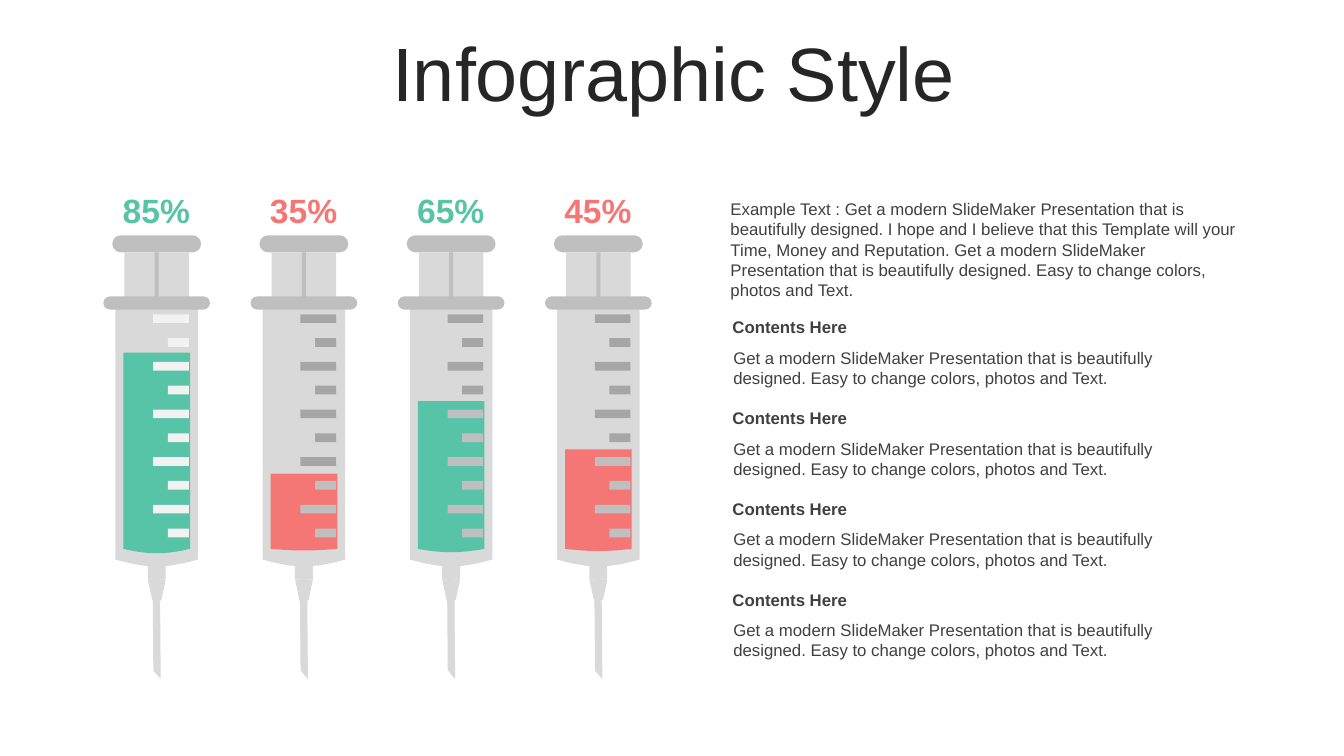
from dataclasses import dataclass

from pptx import Presentation
from pptx.dml.color import RGBColor
from pptx.enum.shapes import MSO_SHAPE
from pptx.enum.text import MSO_ANCHOR, PP_ALIGN
from pptx.oxml.ns import qn
from pptx.util import Cm, Pt

RECT, ROUND = MSO_SHAPE.RECTANGLE, MSO_SHAPE.ROUNDED_RECTANGLE
TRAPEZOID, STRIPE = MSO_SHAPE.TRAPEZOID, MSO_SHAPE.DIAGONAL_STRIPE
LEFT, CENTER = PP_ALIGN.LEFT, PP_ALIGN.CENTER
TOP, MIDDLE = MSO_ANCHOR.TOP, MSO_ANCHOR.MIDDLE


@dataclass(frozen=True)
class Theme:
    font: str = "Arial"
    title: str = "262626"
    text: str = "404040"
    green: str = "57C3A7"
    red: str = "F47775"
    glass: str = "D9D9D9"
    metal: str = "BFBFBF"
    tick: str = "A6A6A6"
    light_tick: str = "F2F2F2"
    title_size: int = 54
    percent_size: int = 24
    text_size: int = 12


THEME = Theme()


@dataclass(frozen=True)
class Syringe:
    percent: int
    color: str
    tick: str = THEME.tick
    wet_tick: str = THEME.metal


@dataclass(frozen=True)
class Part:
    """A preset shape; dx is the offset of its centre from the syringe axis, in cm."""
    kind: MSO_SHAPE
    top: float
    width: float
    height: float
    color: str
    dx: float = 0
    rotation: float = 0
    adjustment: float | None = None


SYRINGES = [
    Syringe(85, THEME.green, THEME.light_tick, THEME.light_tick),
    Syringe(35, THEME.red),
    Syringe(65, THEME.green),
    Syringe(45, THEME.red),
]
NEEDLE = Part(STRIPE, 14.75, 1.7, 2.06, THEME.glass, 0.09, 320, 0.86)
FITTINGS = [
    Part(ROUND, 5.93, 2.24, 0.43, THEME.metal, adjustment=0.5),
    Part(RECT, 6.36, 1.63, 1.17, THEME.glass),
    Part(RECT, 14.17, 0.45, 0.43, THEME.glass),
    Part(TRAPEZOID, 14.6, 0.45, 0.53, THEME.glass, rotation=180),
    Part(ROUND, 7.47, 2.69, 0.33, THEME.metal, adjustment=0.5),
]
RIB = Part(RECT, 6.36, 0.1, 1.17, THEME.metal)

FIRST_AXIS, AXIS_GAP = 3.95, 3.71
LIQUID_ZERO, CM_PER_PERCENT, LIQUID_BOTTOM = 14.07, 0.061, 13.83
TICKS, FIRST_TICK, TICK_GAP, TICK_RIGHT = 10, 7.92, 0.6, 0.81

SECTIONS, FIRST_SECTION, SECTION_GAP = 4, 7.86, 2.29
SENTENCE = "Get a modern SlideMaker Presentation that is beautifully designed."
EASY = "Easy to change colors, photos and Text."
INTRO = (f"Example Text : {SENTENCE} I hope and I believe that this Template "
         f"will your Time, Money and Reputation. {SENTENCE} {EASY}")


def paint(sp, color: str) -> None:
    sp.shadow.inherit = False
    sp.fill.solid()
    sp.fill.fore_color.rgb = RGBColor.from_string(color)
    sp.line.fill.background()


def add_part(shapes, axis: float, part: Part) -> None:
    sp = shapes.add_shape(part.kind, Cm(axis + part.dx - part.width / 2), Cm(part.top),
                          Cm(part.width), Cm(part.height))
    if part.adjustment is not None:
        sp.adjustments[0] = part.adjustment
    sp.rotation = part.rotation
    paint(sp, part.color)


def add_tube(shapes, axis: float, half: float, top: float, bottom: float,
             sag: float, color: str) -> None:
    """Draw a straight-sided tube whose base is a Bezier curve hanging by sag."""
    outline = [(half, top), (half, bottom), (0.22, bottom + sag),
               (-0.22, bottom + sag), (-half, bottom)]
    builder = shapes.build_freeform(Cm(axis - half), Cm(top))
    builder.add_line_segments([(Cm(axis + x), Cm(y)) for x, y in outline], close=True)
    sp = builder.convert_to_shape()
    first, *others = list(sp.element.iter(qn("a:lnTo")))[2:5]
    first.tag = qn("a:cubicBezTo")
    for line in others:
        first.append(line[0])
        line.getparent().remove(line)
    paint(sp, color)


def add_syringe(shapes, axis: float, syringe: Syringe) -> None:
    liquid_top = LIQUID_ZERO - CM_PER_PERCENT * syringe.percent
    add_part(shapes, axis, NEEDLE)
    add_tube(shapes, axis, 1.04, 7.77, 14.1, 0.23, THEME.glass)
    for part in FITTINGS:
        add_part(shapes, axis, part)
    sag = 0.03 * (LIQUID_BOTTOM - liquid_top)
    add_tube(shapes, axis, 0.84, liquid_top, LIQUID_BOTTOM, sag, syringe.color)
    add_part(shapes, axis, RIB)
    for i in range(TICKS):
        top = FIRST_TICK + i * TICK_GAP
        width = 0.53 if i % 2 else 0.9
        color = syringe.wet_tick if top > liquid_top else syringe.tick
        add_part(shapes, axis, Part(RECT, top, width, 0.22, color, TICK_RIGHT - width / 2))


def write(sp, text: str, size: int, color: str, bold: bool = False,
          align: PP_ALIGN = LEFT, anchor: MSO_ANCHOR = TOP) -> None:
    tf = sp.text_frame
    tf.word_wrap = True
    tf.vertical_anchor = anchor
    tf.text = text
    p = tf.paragraphs[0]
    p.alignment = align
    font = p.runs[0].font
    font.name, font.size, font.bold = THEME.font, Pt(size), bold
    font.color.rgb = RGBColor.from_string(color)


def add_text_box(shapes, left: float, top: float, width: float, height: float,
                 inset_left: float = 0.25, inset_right: float = 0.3):
    sp = shapes.add_textbox(Cm(left), Cm(top), Cm(width), Cm(height))
    sp.text_frame.margin_left = Cm(inset_left)
    sp.text_frame.margin_right = Cm(inset_right)
    return sp


def add_section(shapes, top: float) -> None:
    body = add_text_box(shapes, 18.23, top + 0.77, 13.13, 1.28, inset_right=0.65)
    write(body, f"{SENTENCE} {EASY}", THEME.text_size, THEME.text)
    heading = add_text_box(shapes, 18.21, top, 13.16, 0.77)
    write(heading, "Contents Here", THEME.text_size, THEME.text, bold=True)


def main() -> None:
    prs = Presentation()
    prs.slide_width, prs.slide_height = Cm(33.87), Cm(19.05)
    s = prs.slides.add_slide(prs.slide_layouts[5])

    title = s.shapes.title
    title.left, title.top, title.width, title.height = Cm(0.9), Cm(0.93), Cm(32.15), Cm(2)
    write(title, "Infographic Style", THEME.title_size, THEME.title,
          align=CENTER, anchor=MIDDLE)
    title.text_frame.paragraphs[0].line_spacing = 0.9

    for i, syringe in enumerate(SYRINGES):
        axis = FIRST_AXIS + i * AXIS_GAP
        add_syringe(s.shapes.add_group_shape().shapes, axis, syringe)
        label = add_text_box(s.shapes, axis - 1.26, 4.67, 2.5, 1.28, inset_left=0.3)
        write(label, f"{syringe.percent}%", THEME.percent_size, syringe.color,
              bold=True, align=CENTER)

    for i in range(SECTIONS):
        add_section(s.shapes.add_group_shape().shapes, FIRST_SECTION + i * SECTION_GAP)
    intro = add_text_box(s.shapes, 18.21, 4.89, 13.44, 2.82, inset_left=0.2, inset_right=0.41)
    write(intro, INTRO, THEME.text_size, THEME.text)

    prs.save("out.pptx")


if __name__ == "__main__":
    main()
